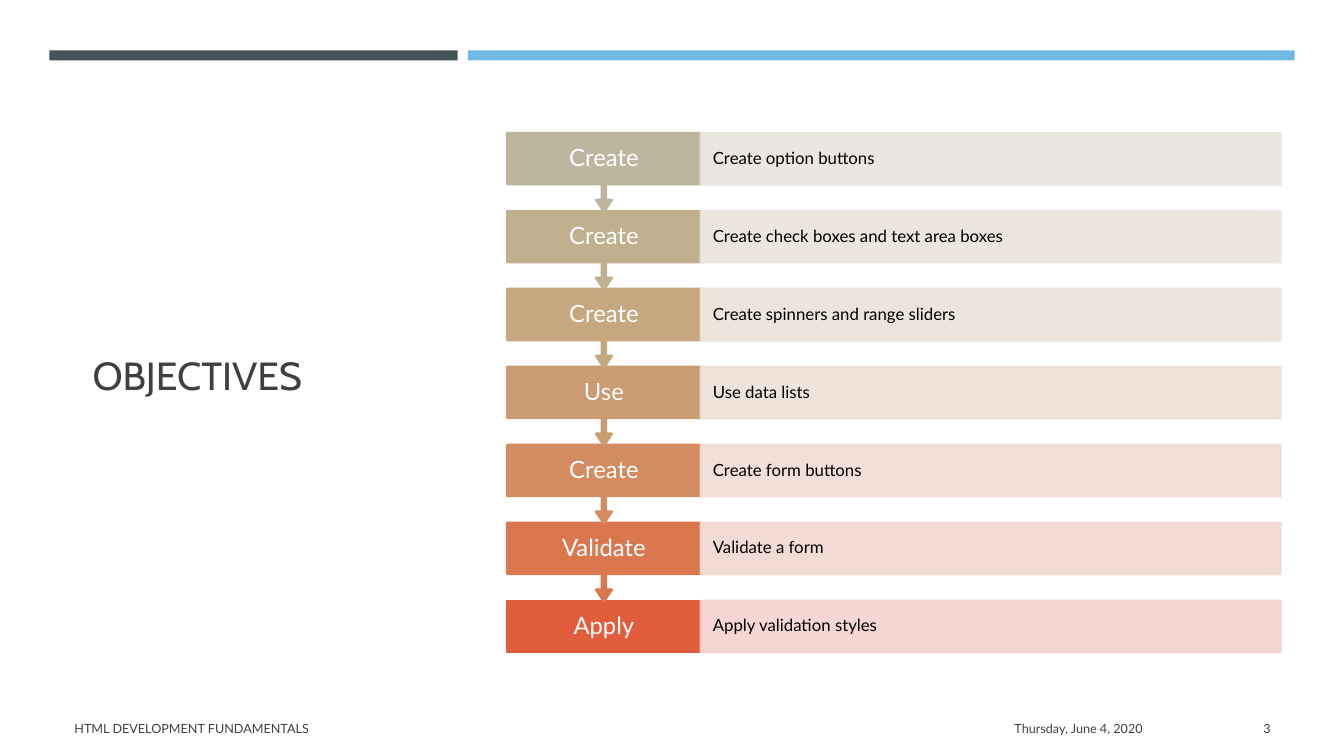
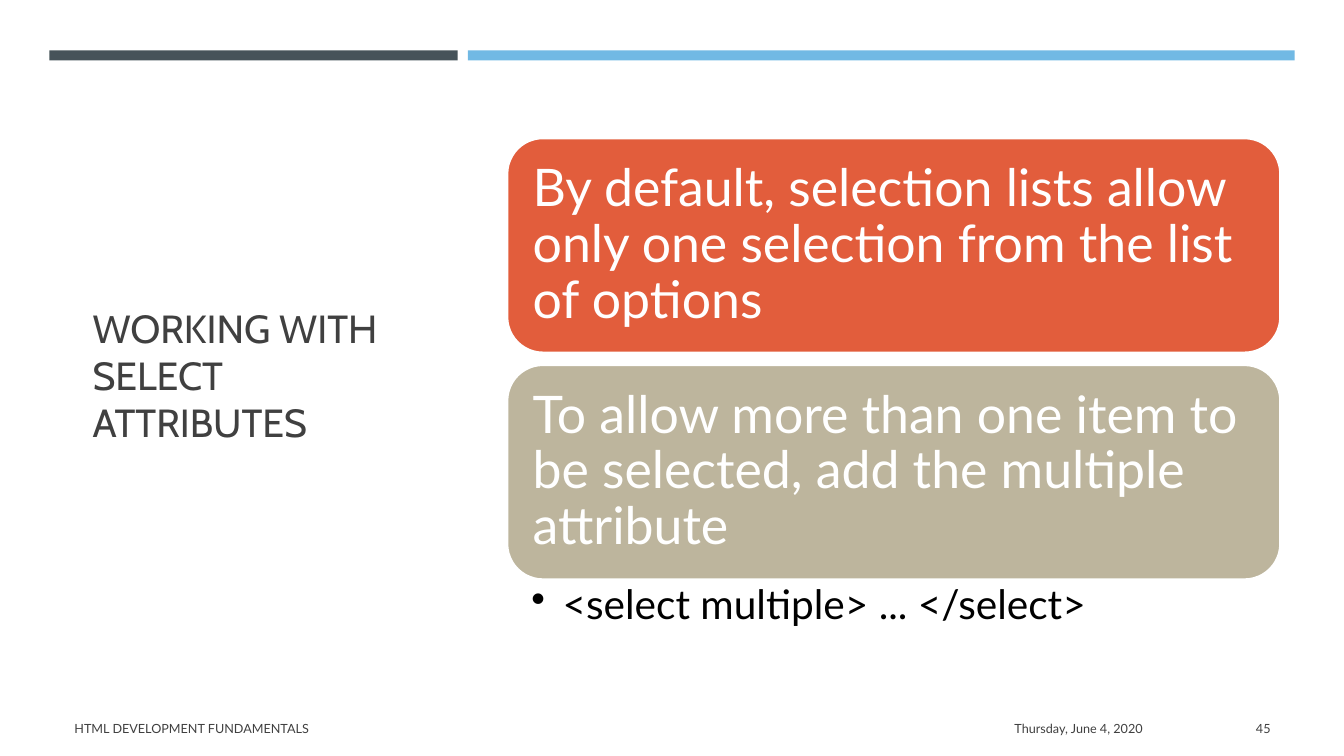
from lxml import etree
from pptx import Presentation
from pptx.dml.color import RGBColor
from pptx.enum.shapes import MSO_SHAPE as Shape
from pptx.enum.text import MSO_ANCHOR as Anchor, PP_ALIGN as Align
from pptx.oxml.ns import qn
from pptx.util import Inches, Pt

WHITE = RGBColor(0xFF, 0xFF, 0xFF)
BLACK = RGBColor(0x00, 0x00, 0x00)
TEXT_GRAY = RGBColor(0x40, 0x40, 0x40)
SLATE = RGBColor(0x46, 0x53, 0x59)
SKY = RGBColor(0x71, 0xB9, 0xE4)
ORANGE = RGBColor(0xE2, 0x5D, 0x3C)
SAND = RGBColor(0xBD, 0xB5, 0x9D)
STEP_COLORS = [
    SAND,
    RGBColor(0xC1, 0xB0, 0x8F),
    RGBColor(0xC6, 0xA8, 0x80),
    RGBColor(0xCB, 0x9C, 0x71),
    RGBColor(0xD2, 0x8C, 0x60),
    RGBColor(0xDA, 0x77, 0x4E),
    ORANGE,
]
STEP_TINTS = [
    RGBColor(0xE8, 0xE5, 0xDF),
    RGBColor(0xEA, 0xE4, 0xDC),
    RGBColor(0xEC, 0xE3, 0xD9),
    RGBColor(0xEE, 0xE0, 0xD7),
    RGBColor(0xF0, 0xDC, 0xD4),
    RGBColor(0xF2, 0xD8, 0xD1),
    RGBColor(0xF4, 0xD2, 0xCE),
]

TITLE = {"name": "Cabin", "size": Pt(28), "color": TEXT_GRAY}
FOOTER = {"name": "Lato", "size": Pt(9), "color": TEXT_GRAY}
VERB = {"name": "Lato", "size": Pt(17), "color": WHITE}
DETAIL = {"name": "Lato", "size": Pt(12), "color": BLACK}
STATEMENT = {"name": "Lato", "size": Pt(37), "color": WHITE}
CODE = {"name": "Lato", "size": Pt(29), "color": BLACK}

DEFAULT_INSETS = (0.1, 0.05, 0.1, 0.05)
CONTENT_LEFT, CONTENT_WIDTH = 5.03, 7.67
VERB_WIDTH, STEP_HEIGHT, CALLOUT_HEIGHT = 1.92, 0.51, 0.78
FIRST_STEP_TOP, LAST_STEP_TOP = 1.32, 5.96
CARD_TOP, CARD_HEIGHT, CARD_PITCH = 1.37, 2.13, 2.25

STEPS = [
    ("Create", "Create option buttons"),
    ("Create", "Create check boxes and text area boxes"),
    ("Create", "Create spinners and range sliders"),
    ("Use", "Use data lists"),
    ("Create", "Create form buttons"),
    ("Validate", "Validate a form"),
    ("Apply", "Apply validation styles"),
]
CARDS = [
    ("By default, selection lists allow only one selection from the list of options", ORANGE),
    ("To allow more than one item to be selected, add the multiple attribute", SAND),
]


def write_text(box, text, style, align=Align.LEFT, anchor=Anchor.MIDDLE,
               insets=DEFAULT_INSETS, spacing=None):
    frame = box.text_frame
    frame.word_wrap = True
    frame.vertical_anchor = anchor
    for side, inset in zip(("left", "top", "right", "bottom"), insets):
        setattr(frame, f"margin_{side}", Inches(inset))
    para = frame.paragraphs[0]
    para.alignment = align
    para.line_spacing = spacing
    span = para.add_run()
    span.text = text
    for name, value in style.items():
        if name == "color":
            span.font.color.rgb = value
        else:
            setattr(span.font, name, value)
    return para


def add_text(page, area, text, style, **layout):
    box = page.shapes.add_textbox(*map(Inches, area))
    return write_text(box, text, style, **layout)


def add_block(page, kind, area, fill, line=None):
    block = page.shapes.add_shape(kind, *map(Inches, area))
    block.shadow.inherit = False
    block.fill.solid()
    block.fill.fore_color.rgb = fill
    if line is None:
        block.line.fill.background()
    else:
        block.line.color.rgb = line
        block.line.width = Pt(1.75)
    return block


def set_opacity(block, percent):
    for color in block._element.spPr.iter(qn("a:srgbClr")):
        etree.SubElement(color, qn("a:alpha"), val=str(percent * 1000))


def add_bullet(para, indent):
    properties = para._p.get_or_add_pPr()
    properties.set("marL", str(Inches(indent)))
    properties.set("indent", str(-Inches(indent)))
    etree.SubElement(properties, qn("a:buChar"), char="•")


def add_page(deck, title, number):
    page = deck.slides.add_slide(deck.slide_layouts[6])
    add_text(page, (0.82, 1.14, 3.34, 5.15), title, TITLE)
    add_block(page, Shape.RECTANGLE, (0.49, 0.5, 4.05, 0.1), SLATE)
    add_block(page, Shape.RECTANGLE, (4.64, 0.5, 8.2, 0.1), SKY)
    for left, width, text, align in (
        (0.64, 7.56, "HTML DEVELOPMENT FUNDAMENTALS", Align.LEFT),
        (8.32, 3.11, "Thursday, June 4, 2020", Align.RIGHT),
        (11.55, 1.15, str(number), Align.RIGHT),
    ):
        add_text(page, (left, 7.03, width, 0.4), text, FOOTER, align=align)
    return page


def add_step(page, top, verb, detail, color, tint, is_last):
    kind = Shape.RECTANGLE if is_last else Shape.DOWN_ARROW_CALLOUT
    height = STEP_HEIGHT if is_last else CALLOUT_HEIGHT
    callout = add_block(page, kind, (CONTENT_LEFT, top, VERB_WIDTH, height), color, color)
    if not is_last:
        for index, value in enumerate((0.05, 0.1, 0.15, 0.65)):
            callout.adjustments[index] = value
    write_text(callout, verb, VERB, align=Align.CENTER,
               insets=(0.14, 0.13, 0.14, 0.13), spacing=0.9)
    area = (CONTENT_LEFT + VERB_WIDTH, top, CONTENT_WIDTH - VERB_WIDTH, STEP_HEIGHT)
    band = add_block(page, Shape.RECTANGLE, area, tint, tint)
    set_opacity(band, 90)
    write_text(band, detail, DETAIL, insets=(0.12, 0.17, 0.12, 0.17), spacing=0.9)


def add_objectives(deck):
    page = add_page(deck, "OBJECTIVES", 3)
    last = len(STEPS) - 1
    pitch = (LAST_STEP_TOP - FIRST_STEP_TOP) / last
    for index in reversed(range(len(STEPS))):
        add_step(page, FIRST_STEP_TOP + index * pitch, *STEPS[index],
                 STEP_COLORS[index], STEP_TINTS[index], index == last)


def add_select_attributes(deck):
    page = add_page(deck, "WORKING WITH SELECT ATTRIBUTES", 45)
    for index, (text, color) in enumerate(CARDS):
        area = (CONTENT_LEFT, CARD_TOP + index * CARD_PITCH, CONTENT_WIDTH, CARD_HEIGHT)
        card = add_block(page, Shape.ROUNDED_RECTANGLE, area, color, WHITE)
        write_text(card, text, STATEMENT, insets=(0.15,) * 4, spacing=0.9)
    para = add_text(page, (CONTENT_LEFT, 5.75, CONTENT_WIDTH, 0.67),
                    "<select multiple> ... </select>", CODE, anchor=Anchor.TOP,
                    insets=(0.24, 0.05, 0.29, 0.05), spacing=0.9)
    add_bullet(para, 0.31)


def main():
    deck = Presentation()
    deck.slide_width, deck.slide_height = Inches(13.33), Inches(7.5)
    add_objectives(deck)
    add_select_attributes(deck)
    deck.save("out.pptx")


if __name__ == "__main__":
    main()
